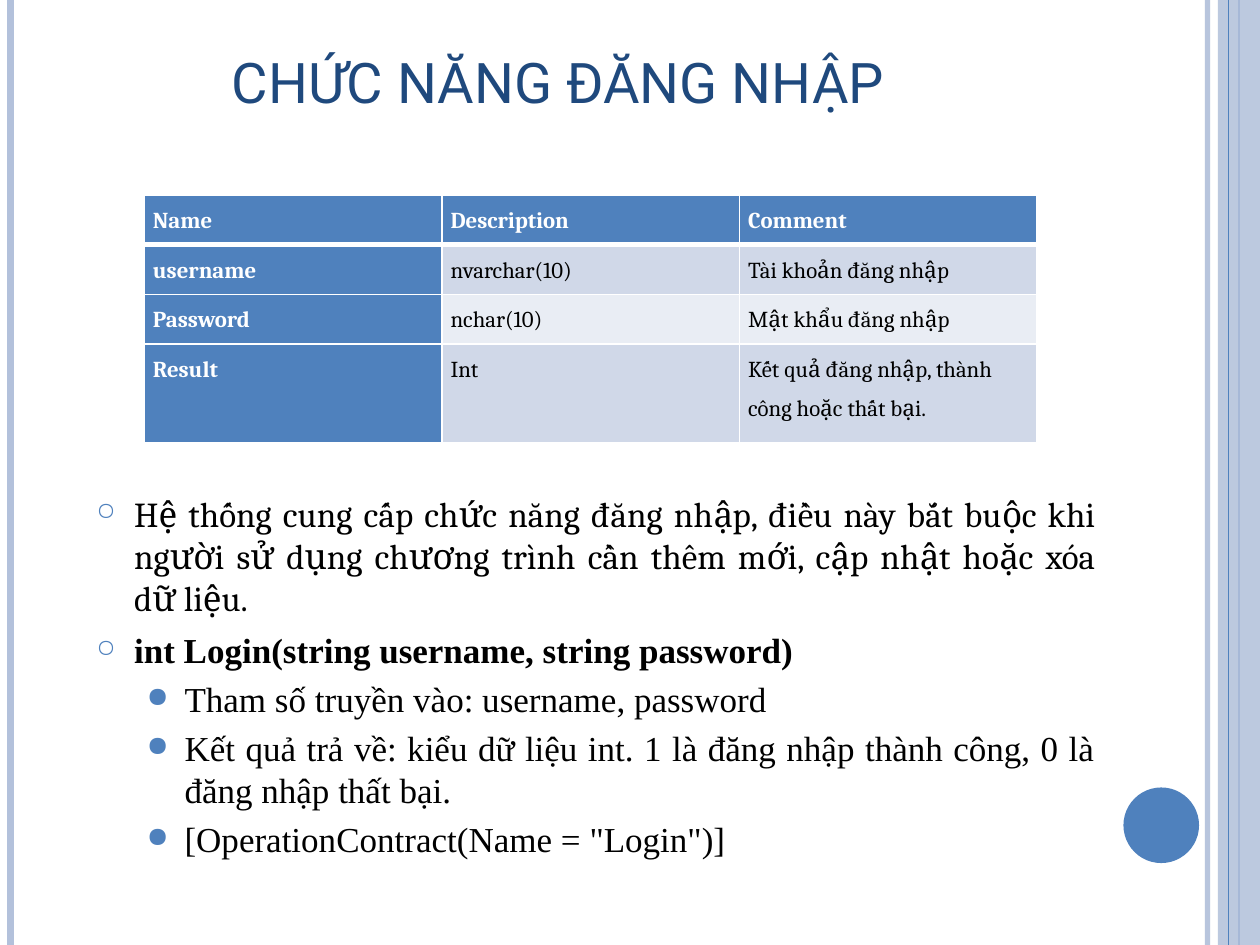
import pptx
import pptx.util
import pptx.oxml
import pptx.oxml.ns
import pptx.dml.color
import pptx.enum.shapes
import pptx.enum.text
import lxml.etree

Pt = pptx.util.Pt
ALIGN = pptx.enum.text.PP_ALIGN
MIDDLE = pptx.enum.text.MSO_ANCHOR.MIDDLE
SHAPES = pptx.enum.shapes.MSO_SHAPE
qn = pptx.oxml.ns.qn

# Content
TITLE = "CHỨC NĂNG ĐĂNG NHẬP"
ROWS = [
    ("Name", "Description", "Comment"),
    ("username", "nvarchar(10)", "Tài khoản đăng nhập"),
    ("Password", "nchar(10)", "Mật khẩu đăng nhập"),
    ("Result", "Int", "Kết quả đăng nhập, thành công hoặc thất bại."),
]
BULLETS = [  # level, font, bold, text
    (0, "Cambria", False, "Hệ thống cung cấp chức năng đăng nhập, điều này bắt buộc khi "
     "người sử dụng chương trình cần thêm mới, cập nhật hoặc xóa dữ liệu."),
    (0, "Times New Roman", True, "int Login(string username, string password)"),
    (1, "Times New Roman", False, "Tham số truyền vào: username, password"),
    (1, "Times New Roman", False, "Kết quả trả về: kiểu dữ liệu int. 1 là đăng nhập thành công, "
     "0 là đăng nhập thất bại."),
    (1, "Times New Roman", False, '[OperationContract(Name = "Login")]'),
]
LEVELS = [
    {"margin": 21.6, "before": 6, "sign": "○", "percent": 70},
    {"margin": 50.4, "before": 4, "sign": "●", "percent": 80},
]
COLORS = {"accent": "4F81BD", "pale": "B3C1DB", "title": "1F497D", "text": "000000",
          "white": "FFFFFF", "band_dark": "D0D8E8", "band_light": "E9EDF4"}
WIDTH, HEIGHT = 720, 540
HANGING = 21.6
ROW_HEIGHTS = (28.35, 28.35, 28.35, 56.7)
COLUMN_WIDTH = 170.1


def color(name):
    return pptx.dml.color.RGBColor.from_string(COLORS[name])


def fill_with(target, name):
    target.fill.solid()
    target.fill.fore_color.rgb = color(name)


def set_alpha(element, percent):
    for tone in element.iter(qn("a:srgbClr")):
        lxml.etree.SubElement(tone, qn("a:alpha"), val=str(percent * 1000))


def set_font(font, tone, **values):
    font.color.rgb = color(tone)
    for key, value in values.items():
        setattr(font, key, value)


def add_rule(x, tone, width, opacity=100):
    rule = page.shapes.add_connector(
        pptx.enum.shapes.MSO_CONNECTOR.STRAIGHT, Pt(x), 0, Pt(x), Pt(HEIGHT))
    rule.line.color.rgb = color(tone)
    rule.line.width = Pt(width)
    properties = rule._element.spPr
    if opacity < 100:
        set_alpha(properties, opacity)
    lxml.etree.SubElement(properties, qn("a:effectLst"))


def add_shape(kind, place, tone, opacity=100):
    shape = page.shapes.add_shape(kind, *map(Pt, place))
    shape.shadow.inherit = False
    fill_with(shape, tone)
    shape.line.fill.background()
    if opacity < 100:
        set_alpha(shape._element.spPr, opacity)


def set_bullet(para, level):
    properties = para._p.get_or_add_pPr()
    properties.set("marL", str(Pt(level["margin"])))
    properties.set("indent", str(-Pt(HANGING)))
    tone = lxml.etree.SubElement(properties, qn("a:buClr"))
    lxml.etree.SubElement(tone, qn("a:srgbClr"), val=COLORS["accent"])
    lxml.etree.SubElement(properties, qn("a:buSzPct"), val=str(level["percent"] * 1000))
    lxml.etree.SubElement(properties, qn("a:buChar"), char=level["sign"])


def set_borders(cell, bottom):
    properties = cell._tc.get_or_add_tcPr()
    for side, width in (("L", 1), ("R", 1), ("T", 1), ("B", bottom)):
        edge = lxml.etree.SubElement(properties, qn("a:ln" + side), w=str(Pt(width)))
        solid = lxml.etree.SubElement(edge, qn("a:solidFill"))
        lxml.etree.SubElement(solid, qn("a:srgbClr"), val=COLORS["white"])


deck = pptx.Presentation()
deck.slide_width, deck.slide_height = Pt(WIDTH), Pt(HEIGHT)
page = deck.slides.add_slide(deck.slide_layouts[5])

# Side rules, band and circle
add_rule(690, "pale", 3, 93)
add_rule(6, "pale", 4.5)
add_rule(708, "accent", 1.5)
add_shape(SHAPES.RECTANGLE, (696, 0, 24, HEIGHT), "pale", 87)
add_rule(702, "accent", 0.75)
add_shape(SHAPES.OVAL, (642, 450, 43.2, 43.2), "accent")

# Title
title = page.shapes.title
title.left, title.top, title.width, title.height = map(Pt, (34, 16.6, 570, 59))
title.text_frame.text = TITLE
title.text_frame.vertical_anchor = MIDDLE
para = title.text_frame.paragraphs[0]
para.alignment = ALIGN.CENTER
set_font(para.runs[0].font, "title", name="Roboto", size=Pt(32))

# Bulleted text
box = page.shapes.add_textbox(Pt(48), Pt(270), Pt(585), Pt(232.5))
frame = box.text_frame
frame.word_wrap = True
frame.vertical_anchor = MIDDLE
for index, (depth, face, bold, text) in enumerate(BULLETS):
    para = frame.paragraphs[0] if index == 0 else frame.add_paragraph()
    level = LEVELS[depth]
    para.level = depth
    para.alignment = ALIGN.JUSTIFY
    set_bullet(para, level)
    para.space_before = Pt(level["before"] if index else 0)
    span = para.add_run()
    span.text = text
    set_font(span.font, "text", name=face, size=Pt(20), bold=bold)

# Parameter table
columns = len(ROWS[0])
table = page.shapes.add_table(len(ROWS), columns, Pt(82.4), Pt(111.5),
                              Pt(COLUMN_WIDTH * columns), Pt(sum(ROW_HEIGHTS))).table
table.first_col = True
for column in table.columns:
    column.width = Pt(COLUMN_WIDTH)
for r, (texts, height) in enumerate(zip(ROWS, ROW_HEIGHTS)):
    table.rows[r].height = Pt(height)
    for c, text in enumerate(texts):
        cell = table.cell(r, c)
        heading = r == 0 or c == 0
        band = "band_dark" if r % 2 else "band_light"
        set_borders(cell, 1 if r else 3)
        fill_with(cell, "accent" if heading else band)
        cell.margin_left = cell.margin_right = Pt(5)
        cell.margin_top = cell.margin_bottom = 0
        para = cell.text_frame.paragraphs[0]
        para.line_spacing = 1.5
        span = para.add_run()
        span.text = text
        set_font(span.font, "white" if heading else "text",
                 name="Cambria", size=Pt(13), bold=heading)

deck.save("out.pptx")
